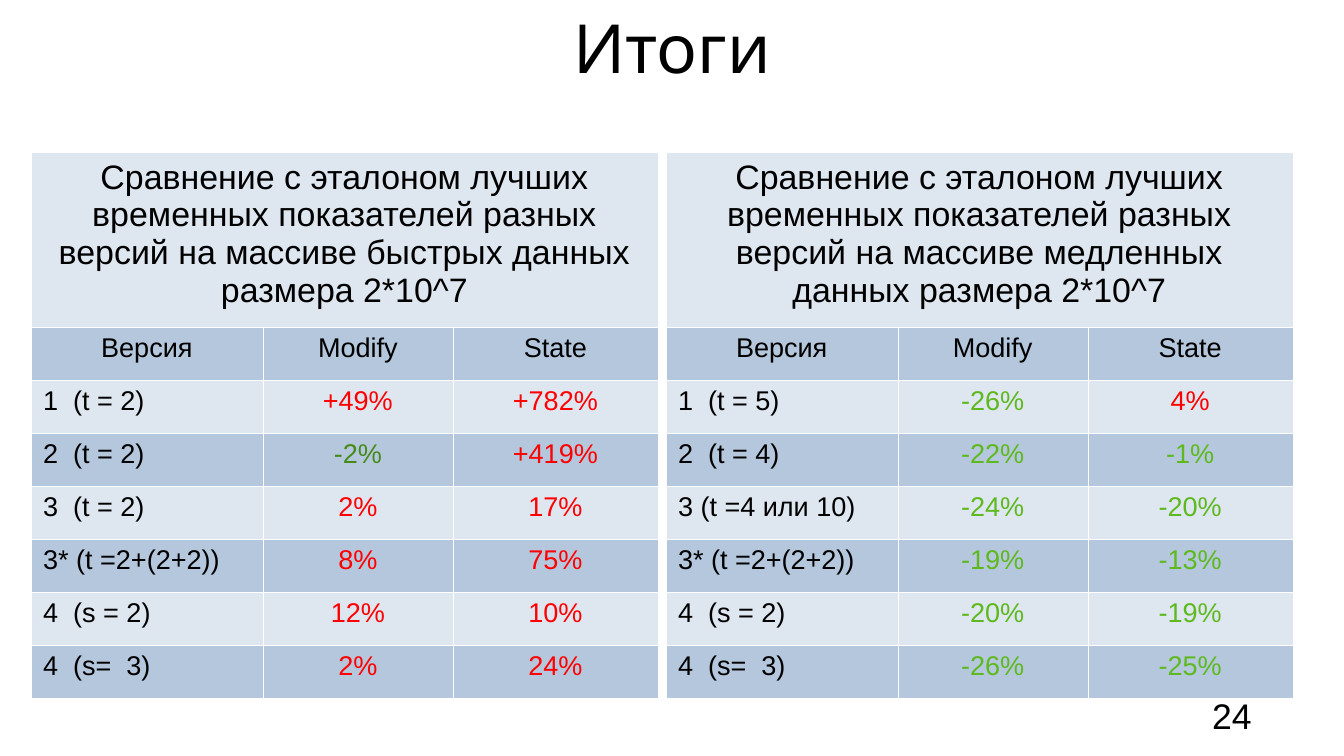
from dataclasses import dataclass

from lxml import etree
from pptx import Presentation
from pptx.dml.color import RGBColor
from pptx.enum.text import MSO_ANCHOR, PP_ALIGN
from pptx.oxml.ns import qn
from pptx.slide import Slide
from pptx.table import _Cell
from pptx.text.text import TextFrame
from pptx.util import Pt

LEFT, CENTER = PP_ALIGN.LEFT, PP_ALIGN.CENTER
MIDDLE = MSO_ANCHOR.MIDDLE

COLORS = {
    "text": "000000",
    "border": "FFFFFF",
    "light": "DEE6EF",
    "dark": "B4C7DC",
    "slower": "FF0000",
    "faster": "5EB91E",
    "faster_dark": "468A1A",
}
PAGE_WIDTH, PAGE_HEIGHT = 793.44, 446.4
TABLE_TOP = 90
COLUMN_WIDTHS = (136.8, 112.3, 121)
ROW_HEIGHT = 31.3
BORDER_WIDTH = 0.06
COLUMN_NAMES = ("Версия", "Modify", "State")


@dataclass
class Comparison:
    left: float
    caption_height: float
    caption: str
    faster_color: str
    results: list[tuple[str, str, str]]


COMPARISONS = [
    Comparison(
        393.1, 97.2,
        "Сравнение с эталоном лучших временных показателей разных версий "
        "на массиве медленных данных размера 2*10^7",
        "faster",
        [
            ("1  (t = 5)", "-26%", "4%"),
            ("2  (t = 4)", "-22%", "-1%"),
            ("3 (t =4 или 10)", "-24%", "-20%"),
            ("3* (t =2+(2+2))", "-19%", "-13%"),
            ("4  (s = 2)", "-20%", "-19%"),
            ("4  (s=  3)", "-26%", "-25%"),
        ],
    ),
    Comparison(
        18.3, 96.6,
        "Сравнение с эталоном лучших временных показателей разных версий "
        "на массиве быстрых данных размера 2*10^7",
        "faster_dark",
        [
            ("1  (t = 2)", "+49%", "+782%"),
            ("2  (t = 2)", "-2%", "+419%"),
            ("3  (t = 2)", "2%", "17%"),
            ("3* (t =2+(2+2))", "8%", "75%"),
            ("4  (s = 2)", "12%", "10%"),
            ("4  (s=  3)", "2%", "24%"),
        ],
    ),
]


def write_text(frame: TextFrame, text: str, size: float, align: PP_ALIGN,
               color: str = "text", font_name: str = "Arial") -> None:
    frame.text = text
    para = frame.paragraphs[0]
    para.alignment = align
    font = para.runs[0].font
    font.name = font_name
    font.size = Pt(size)
    font.color.rgb = RGBColor.from_string(COLORS[color])


def add_text_box(page: Slide, left: float, top: float, width: float, height: float) -> TextFrame:
    box = page.shapes.add_textbox(Pt(left), Pt(top), Pt(width), Pt(height))
    box.text_frame.word_wrap = True
    return box.text_frame


def style_cell(cell: _Cell, fill: str) -> None:
    """Give the cell thin borders, then its fill, in the order the schema needs."""
    properties = cell._tc.get_or_add_tcPr()
    for side in ("a:lnL", "a:lnR", "a:lnT", "a:lnB"):
        line = etree.SubElement(properties, qn(side), w=str(Pt(BORDER_WIDTH)))
        solid = etree.SubElement(line, qn("a:solidFill"))
        etree.SubElement(solid, qn("a:srgbClr"), val=COLORS["border"])
    cell.fill.solid()
    cell.fill.fore_color.rgb = RGBColor.from_string(COLORS[fill])


def add_comparison(page: Slide, comparison: Comparison) -> None:
    rows = [COLUMN_NAMES, *comparison.results]
    height = comparison.caption_height + ROW_HEIGHT * len(rows)
    table = page.shapes.add_table(
        len(rows) + 1, len(COLUMN_WIDTHS), Pt(comparison.left), Pt(TABLE_TOP),
        Pt(sum(COLUMN_WIDTHS)), Pt(height)).table
    table.first_row = table.horz_banding = False
    for column, width in zip(table.columns, COLUMN_WIDTHS):
        column.width = Pt(width)
    for index, row in enumerate(table.rows):
        row.height = Pt(ROW_HEIGHT if index else comparison.caption_height)
        for cell in row.cells:
            style_cell(cell, "dark" if index % 2 else "light")

    caption = table.cell(0, 0)
    caption.merge(table.cell(0, len(COLUMN_WIDTHS) - 1))
    write_text(caption.text_frame, comparison.caption, 20, CENTER)

    for row_index, texts in enumerate(rows, start=1):
        for column_index, text in enumerate(texts):
            align = LEFT if row_index > 1 and column_index == 0 else CENTER
            color = "text"
            if row_index > 1 and column_index > 0:
                color = comparison.faster_color if text.startswith("-") else "slower"
            frame = table.cell(row_index, column_index).text_frame
            write_text(frame, text, 16, align, color)


def main() -> None:
    deck = Presentation()
    deck.slide_width, deck.slide_height = Pt(PAGE_WIDTH), Pt(PAGE_HEIGHT)
    page = deck.slides.add_slide(deck.slide_layouts[6])

    page_number = add_text_box(page, 708.5, 406.1, 84.9, 33.8)
    write_text(page_number, "24", 21, LEFT)

    title = add_text_box(page, 0, 0, PAGE_WIDTH, 54.7)
    title.margin_left = title.margin_right = title.margin_top = title.margin_bottom = 0
    title.vertical_anchor = MIDDLE
    write_text(title, "Итоги", 40, CENTER, font_name="Noto Sans")

    for comparison in COMPARISONS:
        add_comparison(page, comparison)
    deck.save("out.pptx")


if __name__ == "__main__":
    main()
